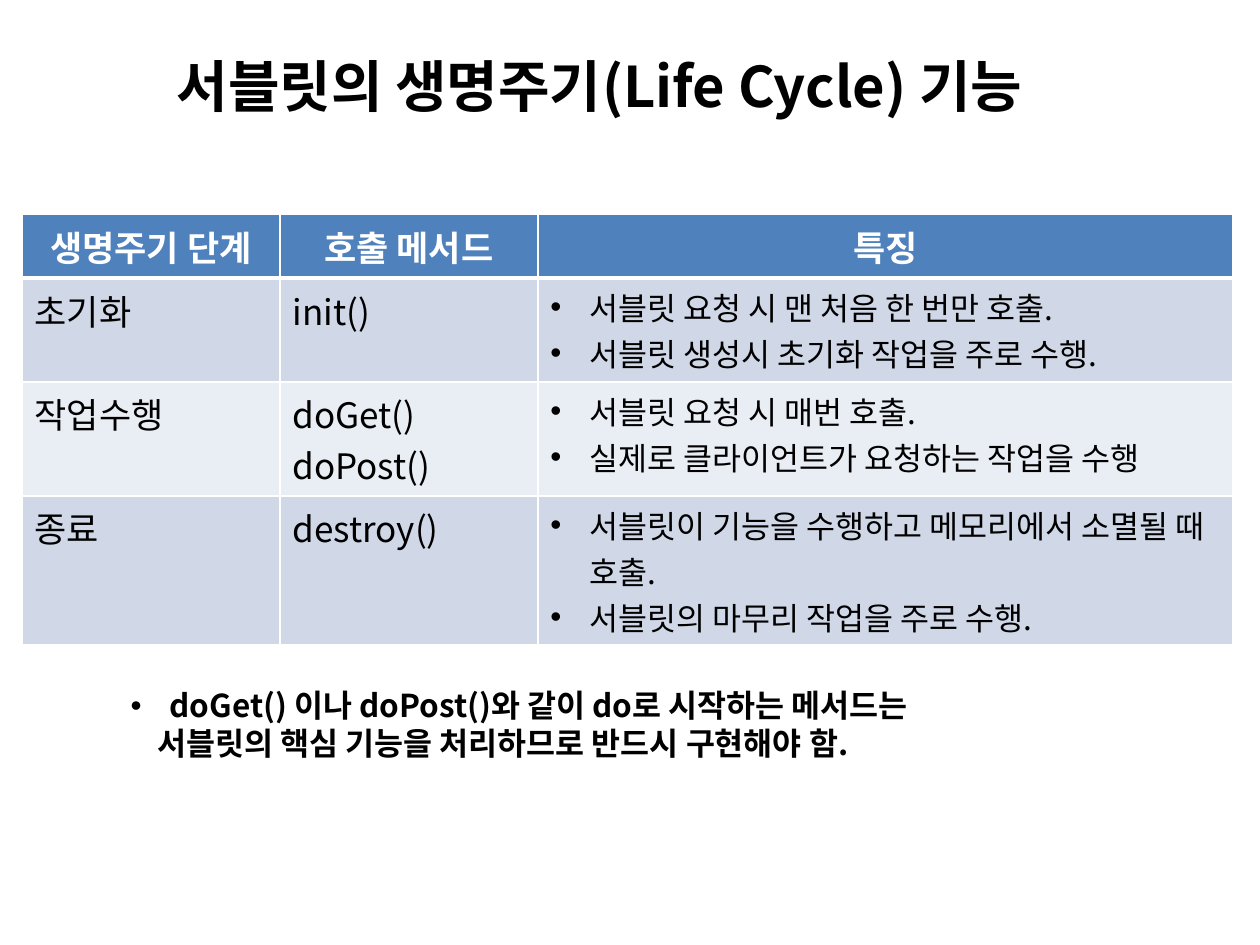
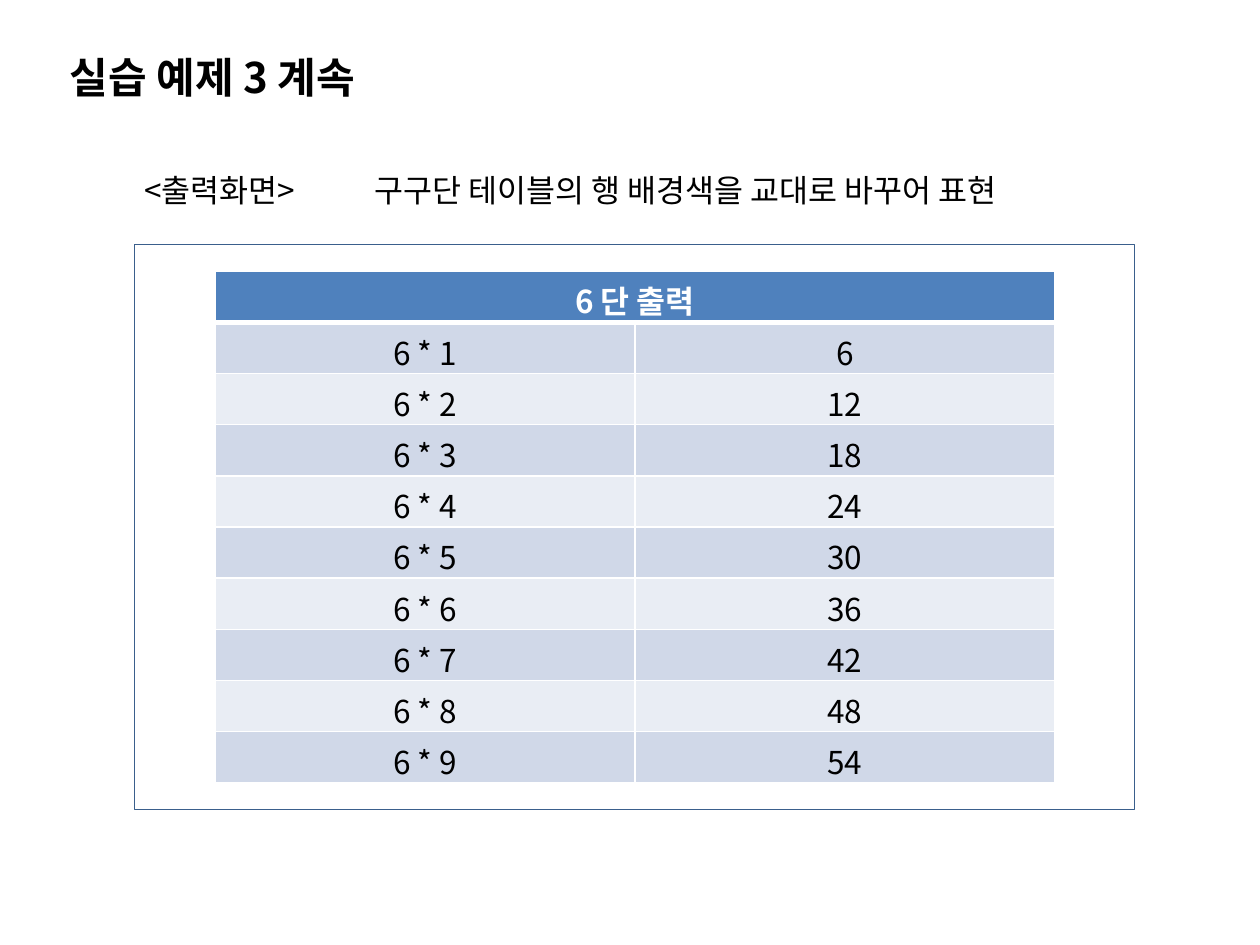
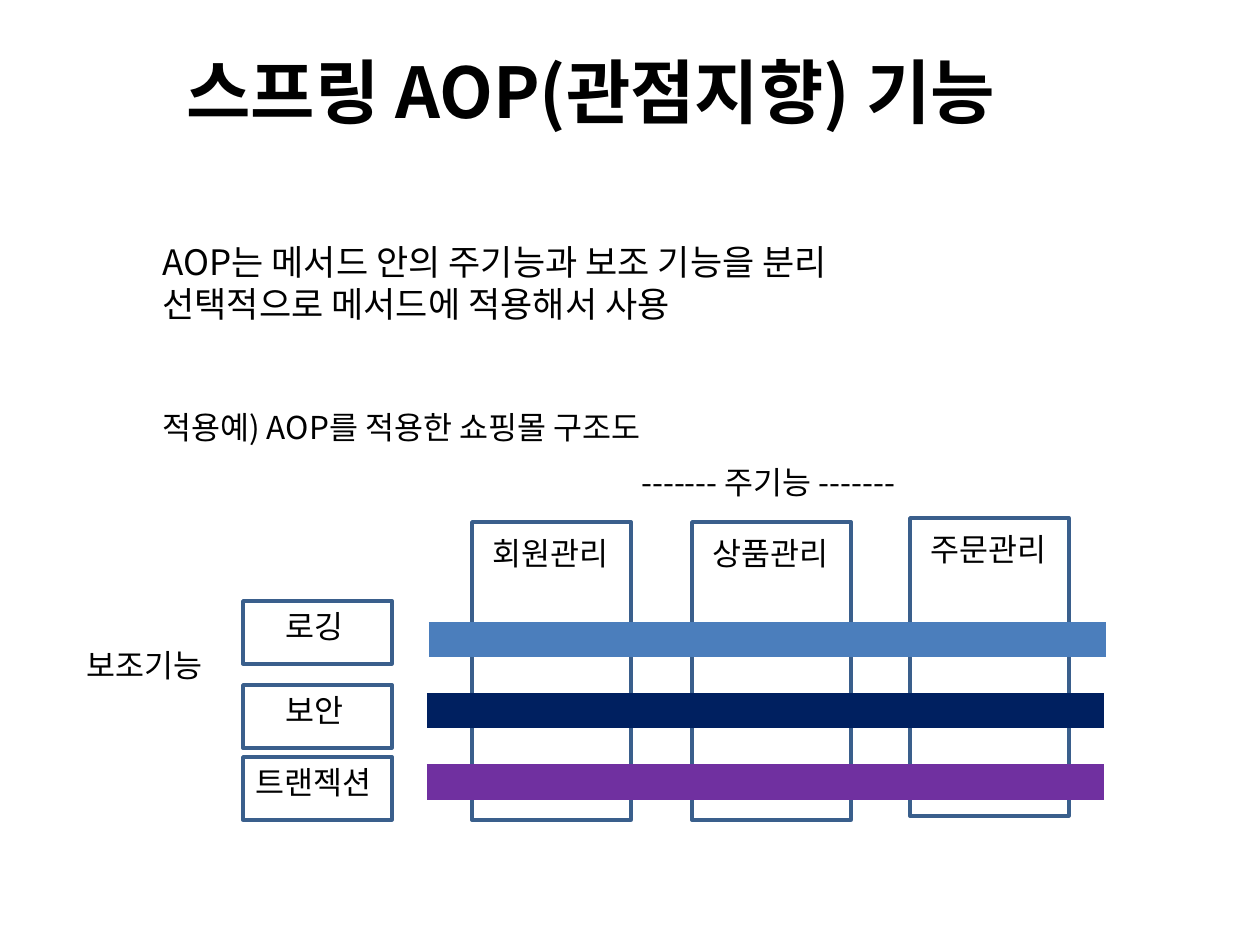
from lxml import etree
from pptx import Presentation
from pptx import util as u
from pptx.dml.color import RGBColor
from pptx.enum import shapes, text
from pptx.oxml.ns import qn

SCALE = 914400 / 126
FONT = "Noto Sans CJK KR"
BLACK, WHITE = "000000", "FFFFFF"
HEADER, BANDS = "4F81BD", ("D0D8E8", "E9EDF4")
OUTLINE = "3A5F8C"
HANG = 39  # hanging indent of a bullet


def px(length):
    """Turn pixels into EMU."""
    return u.Emu(round(length * SCALE))


def color(value):
    """Turn a hex string into a colour."""
    return RGBColor.from_string(value)


def write(frame, lines, size=18, fill=BLACK, bold=False, align="LEFT",
          bullet=False, indent=0):
    """Fill a text frame; each line is a text or a (text, own format) pair."""
    for number, line in enumerate([lines] if isinstance(lines, str) else lines):
        words, own = line if isinstance(line, tuple) else (line, {})
        para = frame.paragraphs[0] if number == 0 else frame.add_paragraph()
        para.alignment = getattr(text.PP_ALIGN, align)
        para.space_before = u.Pt(0)
        set_bullet(para, own.get("bullet", bullet), own.get("indent", indent))
        span = para.add_run()
        span.text = words
        font = span.font
        font.name, font.size, font.bold = FONT, u.Pt(size), bold
        font.color.rgb = color(fill)


def set_bullet(para, bullet, indent):
    """Give a paragraph a hanging bullet, or a plain left indent."""
    props = para._p.get_or_add_pPr()
    props.set("marL", str(px(HANG if bullet else indent)))
    props.set("indent", str(px(-HANG if bullet else 0)))
    if bullet:
        etree.SubElement(props, qn("a:buFont"), typeface="Arial")
        etree.SubElement(props, qn("a:buChar"), char="•")
    else:
        etree.SubElement(props, qn("a:buNone"))


def set_border(cell, side, points):
    """Draw a white border on one side (L, R, T, B) of a cell."""
    props = cell._tc.get_or_add_tcPr()
    line = etree.Element(qn("a:ln" + side), w=str(u.Pt(points)))
    paint = etree.SubElement(line, qn("a:solidFill"))
    etree.SubElement(paint, qn("a:srgbClr"), val=WHITE)
    props.insert("LRTB".index(side), line)


class Board:
    """The deck's style and the slide being drawn."""

    def __init__(self):
        """Start an empty deck."""
        self.deck = Presentation()
        self.deck.slide_width, self.deck.slide_height = px(1260), px(945)
        self.page = None

    def new_page(self, layout):
        """Add a slide with the named layout."""
        self.page = self.deck.slides.add_slide(
            self.deck.slide_layouts.get_by_name(layout))

    def fit(self, box, at, lines, **style):
        """Place a text shape that follows its unwrapped text."""
        box.left, box.top, box.width, box.height = map(px, at)
        frame = box.text_frame
        frame.word_wrap = False
        frame.auto_size = text.MSO_AUTO_SIZE.SHAPE_TO_FIT_TEXT
        frame.vertical_anchor = text.MSO_ANCHOR.TOP
        write(frame, lines, **style)

    def title(self, at, words, size):
        """Write the slide title."""
        self.fit(self.page.shapes.title, at, words, size=size, bold=True)

    def body(self, at, lines, **style):
        """Write the list in the body placeholder."""
        self.fit(self.page.placeholders[1], at, lines, **style)

    def label(self, at, lines, **style):
        """Add a text box."""
        self.fit(self.page.shapes.add_textbox(0, 0, 0, 0), at, lines, **style)

    def frame(self, at, width=2):
        """Add an unfilled outlined rectangle."""
        box = self.page.shapes.add_shape(
            shapes.MSO_SHAPE.RECTANGLE, *map(px, at))
        box.shadow.inherit = False
        box.fill.background()
        box.line.color.rgb = color(OUTLINE)
        box.line.width = u.Pt(width)

    def bar(self, left, middle, length, fill):
        """Add a thick horizontal line."""
        line = self.page.shapes.add_connector(
            shapes.MSO_CONNECTOR.STRAIGHT,
            *map(px, (left, middle, left + length, middle)))
        line.line.color.rgb = color(fill)
        line.line.width = u.Pt(20)
        etree.SubElement(line._element.spPr, qn("a:effectLst"))

    def table(self, at, widths, heights, rows, styles, head_size):
        """Add a banded table with a header; styles go by column."""
        grid = self.page.shapes.add_table(
            len(rows), len(widths), *map(px, at)).table
        for column, width in zip(grid.columns, widths):
            column.width = px(width)
        for row, height in zip(grid.rows, heights):
            row.height = px(height)
        for r, row in enumerate(rows):
            for c, lines in enumerate(row):
                cell = grid.cell(r, c)
                cell.fill.solid()
                cell.fill.fore_color.rgb = color(
                    BANDS[(r - 1) % 2] if r else HEADER)
                for side in "LRTB":
                    thick = (r, side) in [(0, "B"), (1, "T")]
                    set_border(cell, side, 3 if thick else 1)
                style = styles[c] if r else dict(
                    size=head_size, fill=WHITE, bold=True, align="CENTER")
                write(cell.text_frame, lines, **style)
        return grid


board = Board()

# Life cycle of a servlet
board.new_page("Title and Content")
board.title((164, 45, 927, 81), "서블릿의 생명주기(Life Cycle) 기능", 32)
board.table(
    (22, 214, 1211, 431), (258, 258, 695), (64, 104, 114, 149),
    [("생명주기 단계", "호출 메서드", "특징"),
     ("초기화", "init()",
      ["서블릿 요청 시 맨 처음 한 번만 호출.",
       "서블릿 생성시 초기화 작업을 주로 수행."]),
     ("작업수행", ["doGet()", "doPost()"],
      ["서블릿 요청 시 매번 호출.",
       "실제로 클라이언트가 요청하는 작업을 수행"]),
     ("종료", "destroy()",
      ["서블릿이 기능을 수행하고 메모리에서 소멸될 때 호출.",
       "서블릿의 마무리 작업을 주로 수행."])],
    [dict(size=20), dict(size=20), dict(bullet=True)], head_size=20)
board.body(
    (118, 680, 872, 89),
    [("doGet() 이나 doPost()와 같이 do로 시작하는 메서드는", dict(bullet=True)),
     ("서블릿의 핵심 기능을 처리하므로 반드시 구현해야 함.", dict(indent=27))],
    bold=True)

# Multiplication table
board.new_page("Title Only")
board.title((57, 45, 349, 63), "실습 예제 3 계속", 24)
board.label((132, 165, 198, 50), "<출력화면>")
board.label((362, 165, 730, 50), "구구단 테이블의 행 배경색을 교대로 바꾸어 표현")
board.frame((134, 244, 1001, 566), width=0.5)
DAN = 6
products = [(f"{DAN} * {n}", str(DAN * n)) for n in range(1, 10)]
grid = board.table(
    (215, 271, 840, 512), (420, 420), [512 / 10] * 10,
    [(f"{DAN} 단 출력",)] + products,
    [dict(align="CENTER")] * 2, head_size=18)
grid.cell(0, 0).merge(grid.cell(0, 1))

# Structure of a shop with AOP
board.new_page("Title Only")
board.title((174, 42, 910, 97), "스프링 AOP(관점지향) 기능", 40)
board.label((150, 234, 771, 97),
            ["AOP는 메서드 안의 주기능과 보조 기능을 분리",
             "선택적으로 메서드에 적용해서 사용"], size=20)
board.label((150, 402, 557, 50), "적용예) AOP를 적용한 쇼핑몰 구조도")
for name, left, top in [("회원관리", 472, 522), ("상품관리", 692, 522),
                        ("주문관리", 910, 518)]:
    board.frame((left, top, 159, 298))
    board.label((left + 8, top + 6, 152, 50), name)
board.label((629, 457, 326, 50), "------- 주기능 -------")
board.label((74, 640, 152, 50), "보조기능")
for name, top, left, width in [("로깅", 601, 273, 89), ("보안", 685, 273, 89),
                               ("트랜젝션", 757, 243, 152)]:
    board.frame((243, top, 149, 63))
    board.label((left, top, width, 50), name)
for left, middle, fill in [(429, 640, "4B7EBC"), (427, 711, "002060"),
                           (427, 782, "7030A0")]:
    board.bar(left, middle, 677, fill)

board.deck.save("out.pptx")
